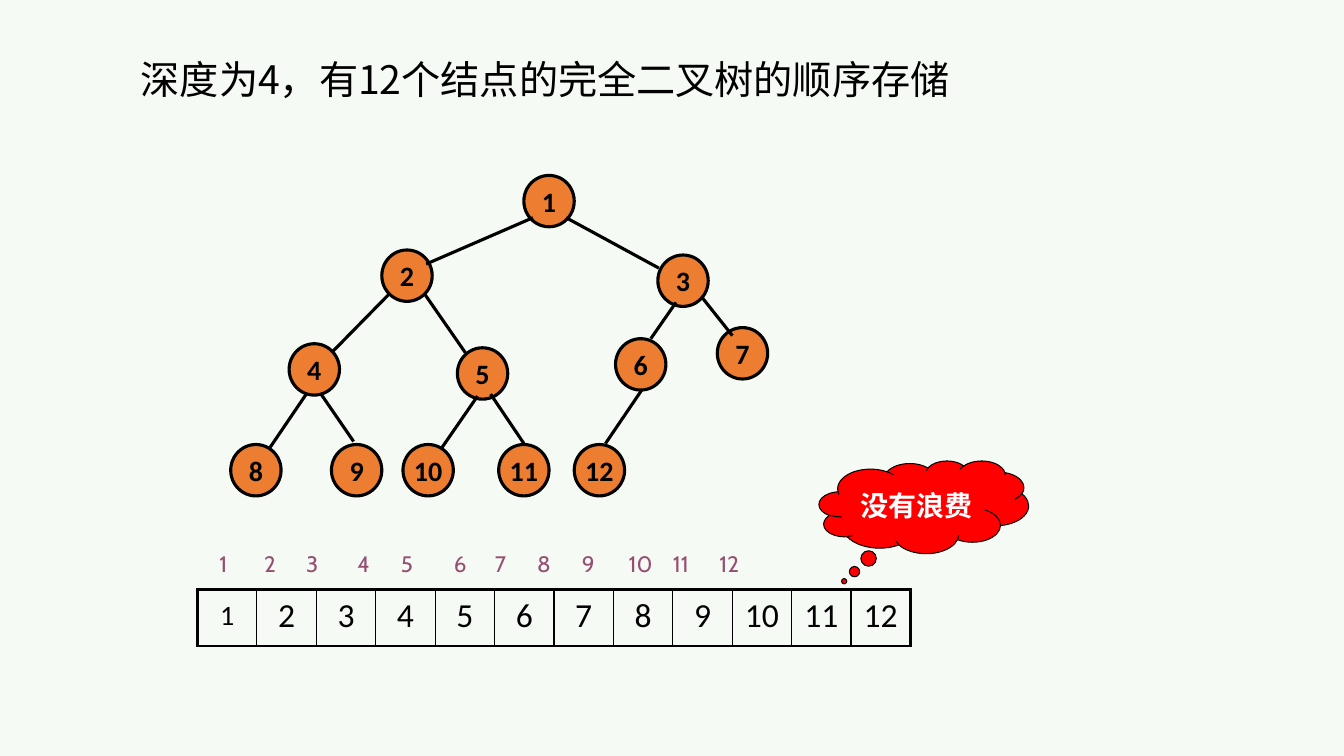
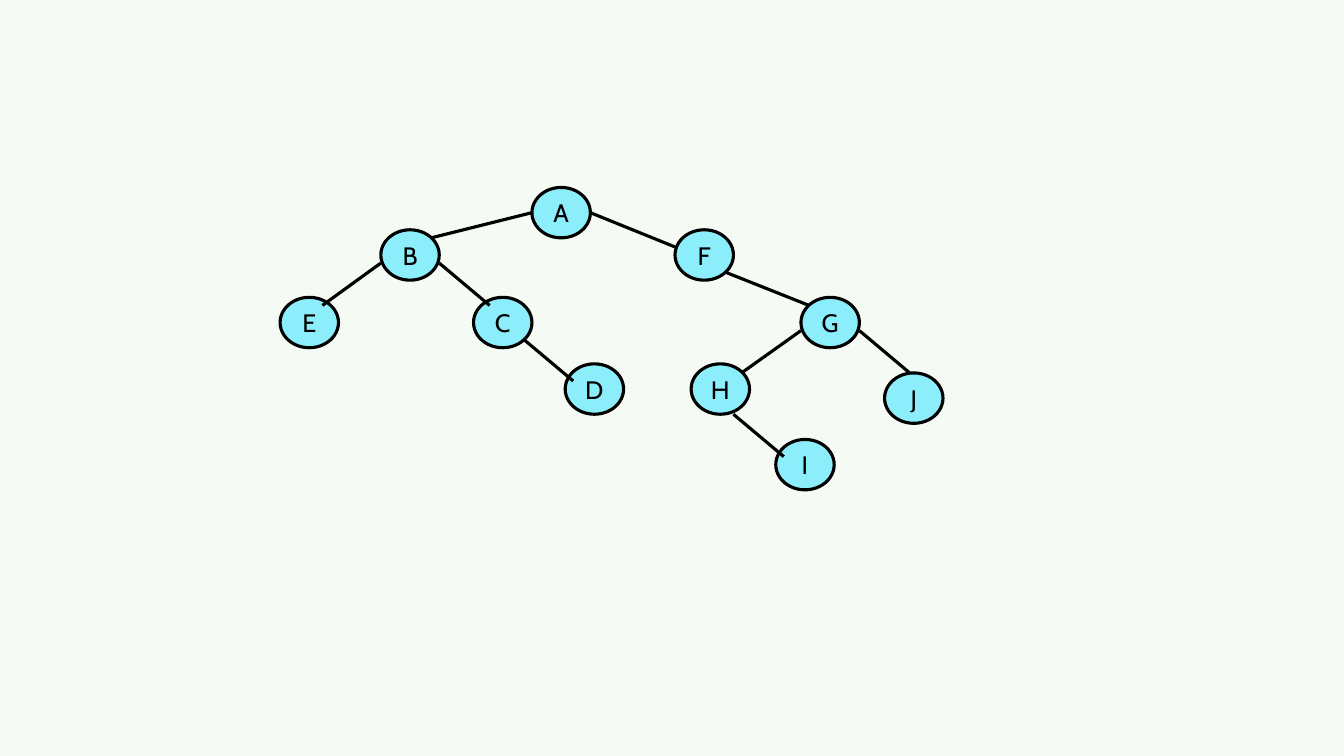
from lxml import etree
from pptx import Presentation
from pptx import util as u
from pptx.dml.color import RGBColor
from pptx.enum import shapes, text
from pptx.oxml import ns

PX = 9144
BLACK = RGBColor(0x00, 0x00, 0x00)
WHITE = RGBColor(0xFF, 0xFF, 0xFF)
PAPER = RGBColor(0xF6, 0xFA, 0xF4)
ORANGE = RGBColor(0xED, 0x7D, 0x31)
CYAN = RGBColor(0x8D, 0xEE, 0xFB)
RED = RGBColor(0xFF, 0x00, 0x00)
PLUM = RGBColor(0x95, 0x4F, 0x72)
CJK = "Noto Sans CJK SC"
THICK, THIN = u.Pt(2.25), u.Pt(1)


def add_span(para, words, size, font, color=BLACK, bold=False):
    span = para.add_run()
    span.text = words
    span.font.size = u.Pt(size)
    span.font.name = font
    span.font.bold = bold
    span.font.color.rgb = color
    east_asian = etree.SubElement(span._r.get_or_add_rPr(), ns.qn("a:ea"))
    east_asian.set("typeface", CJK)


def add_bubble(page, kind, frame, fill, line_width, wrap=False):
    bubble = page.shapes.add_shape(kind, *[n * PX for n in frame])
    bubble.shadow.inherit = False
    bubble.fill.solid()
    bubble.fill.fore_color.rgb = fill
    bubble.line.color.rgb = BLACK
    bubble.line.width = line_width
    bubble.text_frame.word_wrap = wrap
    bubble.text_frame.vertical_anchor = text.MSO_ANCHOR.MIDDLE
    bubble.text_frame.paragraphs[0].alignment = text.PP_ALIGN.CENTER
    return bubble


deck = Presentation()
deck.slide_width, deck.slide_height = 1334 * PX, 750 * PX
deck.slide_master.background.fill.solid()
deck.slide_master.background.fill.fore_color.rgb = PAPER

trees = [
    {
        "size": (50, 51), "fill": ORANGE, "font": ("Calibri", 20, True),
        "nodes": {
            "1": (520, 174), "2": (379, 248), "3": (653, 253),
            "4": (287, 341), "5": (454, 345), "6": (611, 336),
            "7": (712, 325), "8": (229, 441), "9": (329, 441),
            "10": (400, 441), "11": (495, 441), "12": (570, 441),
        },
        "edges": [
            (529, 216, 423, 262), (562, 216, 654, 266),
            (387, 291, 329, 350), (421, 291, 462, 350),
            (671, 300, 646, 336), (696, 294, 727, 333),
            (304, 391, 268, 444), (318, 390, 351, 438),
            (474, 393, 438, 445), (487, 391, 520, 440),
            (637, 387, 601, 440),
        ],
    },
    {
        "size": (58, 50), "fill": CYAN, "font": ("Cabin", 18, False),
        "nodes": {
            "A": (528, 186), "B": (378, 228), "C": (470, 295),
            "D": (561, 361), "E": (278, 295), "F": (670, 228),
            "G": (795, 295), "H": (686, 361), "I": (770, 436),
            "J": (878, 370),
        },
        "edges": [
            (528, 211, 428, 236), (586, 211, 670, 245),
            (378, 261, 320, 303), (436, 261, 486, 303),
            (519, 336, 569, 378), (720, 270, 803, 303),
            (795, 328, 736, 370), (853, 328, 903, 370),
            (728, 411, 778, 453),
        ],
    },
]

for tree in trees:
    page = deck.slides.add_slide(deck.slide_layouts[6])
    font, size, bold = tree["font"]
    for label, corner in tree["nodes"].items():
        node = add_bubble(page, shapes.MSO_SHAPE.OVAL, corner + tree["size"], tree["fill"], THICK)
        add_span(node.text_frame.paragraphs[0], label, size, font, bold=bold)
    for ends in tree["edges"]:
        edge = page.shapes.add_connector(shapes.MSO_CONNECTOR.STRAIGHT, *[n * PX for n in ends])
        edge.line.color.rgb = BLACK
        edge.line.width = THICK
        etree.SubElement(edge._element.spPr, ns.qn("a:effectLst"))

page = deck.slides[0]
title = page.shapes.add_textbox(130 * PX, 49 * PX, 852 * PX, 58 * PX)
title.text_frame.word_wrap = True
title.text_frame.vertical_anchor = text.MSO_ANCHOR.BOTTOM
para = title.text_frame.paragraphs[0]
para.line_spacing = 0.9
add_span(para, "深度为4，有12个结点的完全二叉树的顺序存储", 28, CJK)

COUNT = 12
numbers = [str(n + 1) for n in range(COUNT)]
array = page.shapes.add_table(1, COUNT, 196 * PX, 585 * PX, COUNT * 59 * PX, 56 * PX).table
array.first_row = array.horz_banding = False
for index, number in enumerate(numbers):
    array.columns[index].width = 59 * PX
    cell = array.cell(0, index)
    cell.fill.background()
    cell.vertical_anchor = text.MSO_ANCHOR.MIDDLE
    cell.margin_bottom = 8 * PX
    para = cell.text_frame.paragraphs[0]
    para.alignment = text.PP_ALIGN.CENTER
    para.line_spacing = 0.9
    add_span(para, number, 20 if index == 0 else 24, "Calibri")
    borders = {
        "a:lnL": THICK if index == 0 else THIN,
        "a:lnR": THICK if index == COUNT - 1 else THIN,
        "a:lnT": THICK,
        "a:lnB": THICK,
    }
    properties = cell._tc.get_or_add_tcPr()
    for place, (tag, width) in enumerate(borders.items()):
        border = etree.Element(ns.qn(tag), w=str(int(width)))
        paint = etree.SubElement(border, ns.qn("a:solidFill"))
        etree.SubElement(paint, ns.qn("a:srgbClr"), val=str(BLACK))
        properties.insert(place, border)

positions = page.shapes.add_textbox(208 * PX, 541 * PX, 708 * PX, 37 * PX)
positions.text_frame.word_wrap = True
para = positions.text_frame.paragraphs[0]
stops = etree.SubElement(para._p.get_or_add_pPr(), ns.qn("a:tabLst"))
for stop in (50, 92, 143, 186, 239, 279, 322, 366, 418, 458, 506):
    etree.SubElement(stops, ns.qn("a:tab"), pos=str(stop * PX), algn="ctr")
add_span(para, "\t".join(numbers), 16, "Cabin", PLUM)

cloud = add_bubble(page, shapes.MSO_SHAPE.CLOUD_CALLOUT, (813, 457, 208, 92), RED, u.Pt(0.75), wrap=True)
cloud.adjustments[0] = -0.38
cloud.adjustments[1] = 0.8
add_span(cloud.text_frame.paragraphs[0], "没有浪费", 20, "Cabin", WHITE, bold=True)

deck.save("out.pptx")
